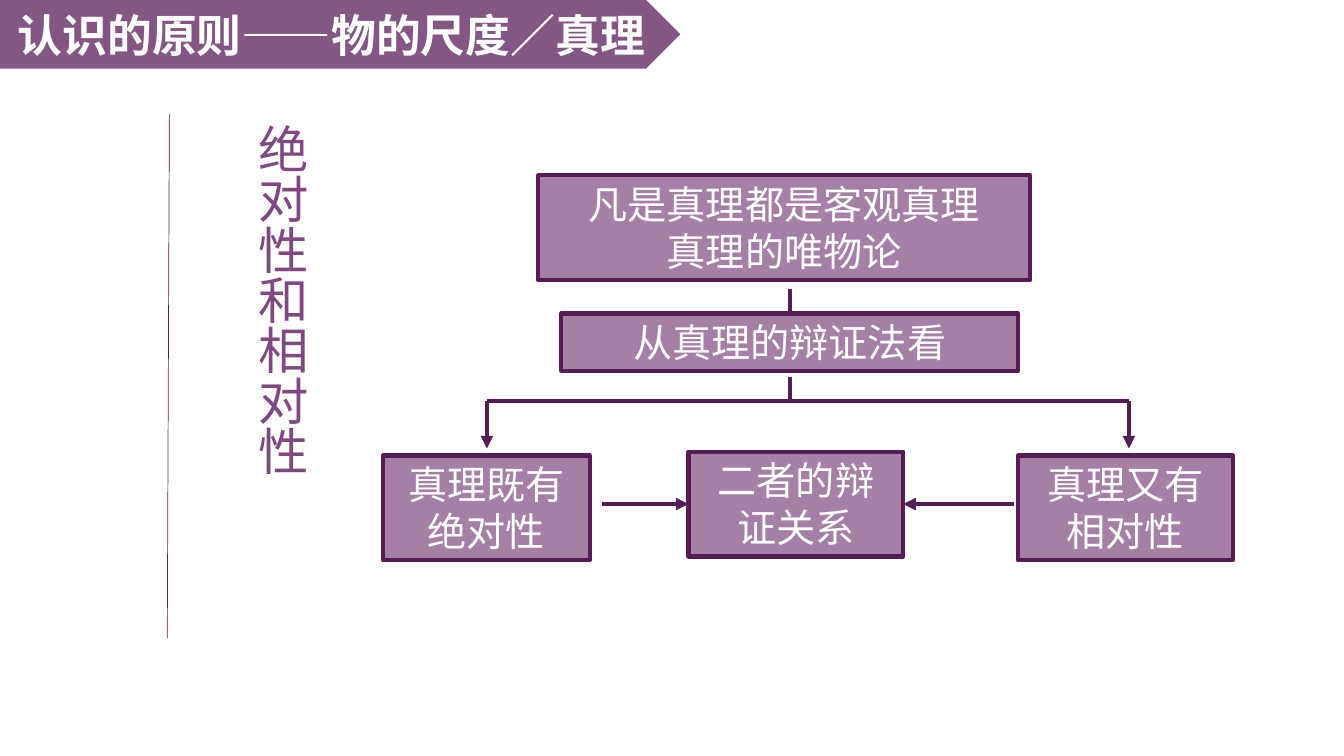
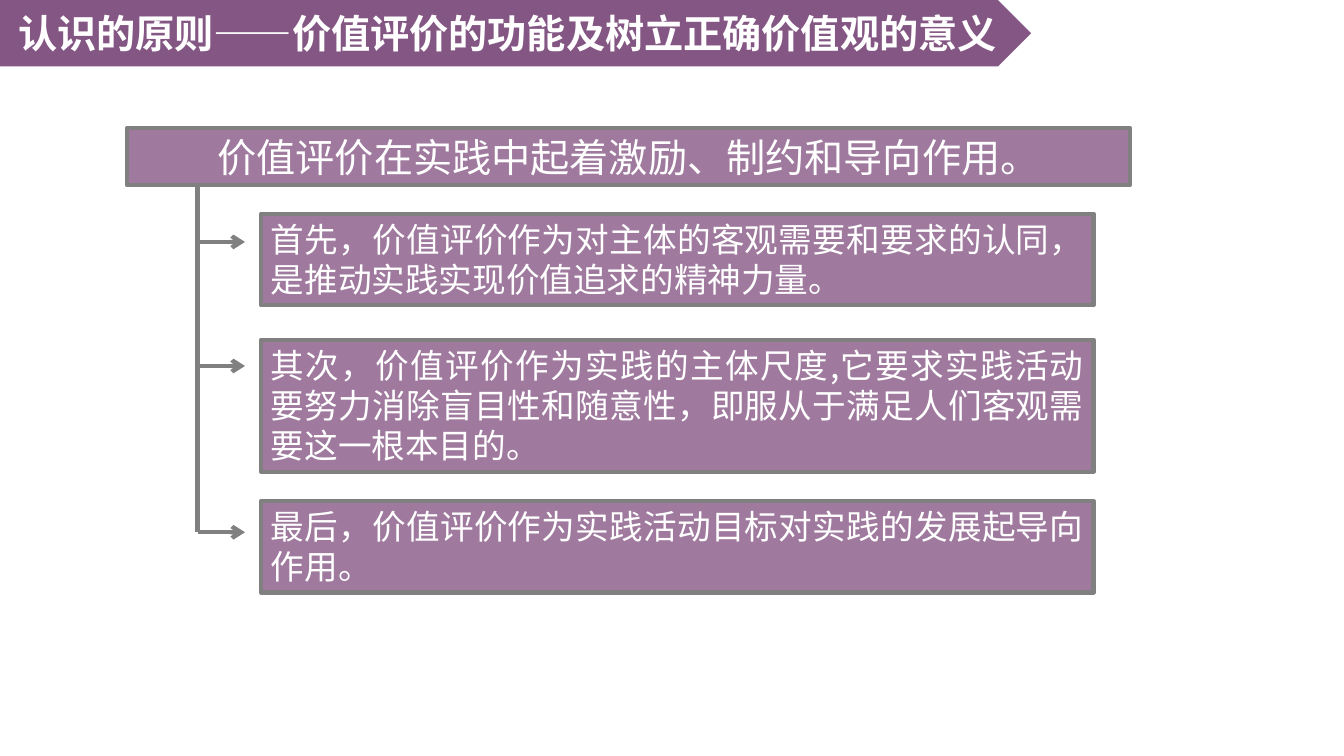
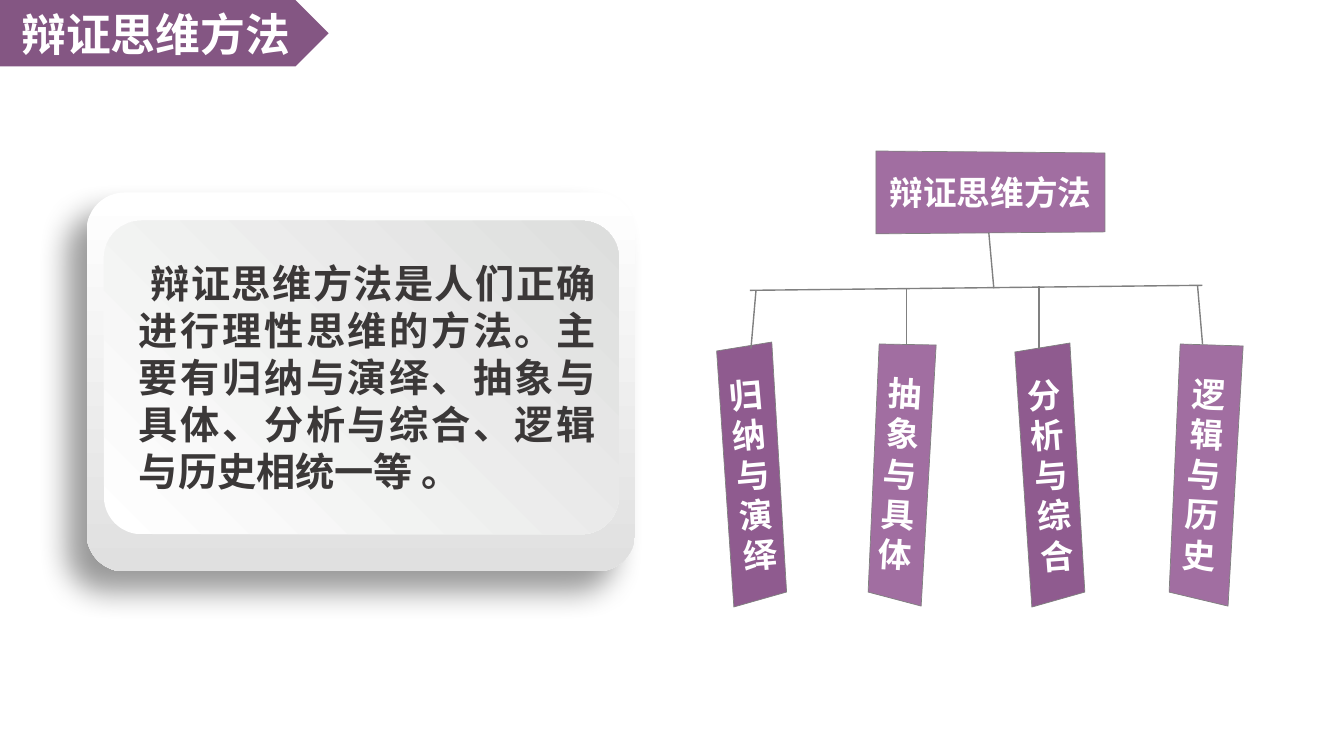
import math
from dataclasses import dataclass

import pptx
import pptx.dml.color
import pptx.enum.shapes
import pptx.enum.text
import pptx.oxml
import pptx.oxml.ns
import pptx.util
from lxml import etree

Pt = pptx.util.Pt
SHAPE = pptx.enum.shapes.MSO_SHAPE
ALIGN = pptx.enum.text.PP_ALIGN
ANCHOR = pptx.enum.text.MSO_ANCHOR
qn = pptx.oxml.ns.qn

FONT = "Noto Sans CJK SC"
WHITE = "FFFFFF"
PLUM = "5A1B58"
MAUVE = "7F4980"
DEEP = "551C55"
GREY = "808080"
TILE_LIGHT = "A16EA1"
TILE_DARK = "8F5B8F"
BODY = "3B3838"


@dataclass
class Box:
    """A rectangle in points, with its text."""
    left: float
    top: float
    width: float
    height: float
    text: str = ""


@dataclass
class BoxStyle:
    fill: str
    opacity: int
    line: str
    size: float
    align: pptx.enum.text.PP_ALIGN = ALIGN.CENTER


@dataclass
class Segment:
    x1: float
    y1: float
    x2: float
    y2: float
    arrow: str = ""


@dataclass
class Tile:
    """A slanted hanging tile: corners in points, tilt in degrees."""
    text: str
    corners: list[tuple[float, float]]
    fill: str
    tilt: float = 0


# ---- shared helpers ----
def rgb(hex_colour: str) -> pptx.dml.color.RGBColor:
    return pptx.dml.color.RGBColor.from_string(hex_colour)


def paint(shape, fill: str, opacity: int = 100, line: str = "", weight: float = 0) -> None:
    shape.shadow.inherit = False
    shape.fill.solid()
    shape.fill.fore_color.rgb = rgb(fill)
    if opacity < 100:
        colour = shape._element.spPr.find(qn("a:solidFill")).find(qn("a:srgbClr"))
        etree.SubElement(colour, qn("a:alpha")).set("val", str(opacity * 1000))
    if line:
        shape.line.color.rgb = rgb(line)
        shape.line.width = Pt(weight)
    else:
        shape.line.fill.background()


def write(frame, text: str, *, size: float, colour: str = WHITE, bold: bool = False,
          align=ALIGN.CENTER, anchor=ANCHOR.TOP, margin: float | None = None) -> None:
    frame.auto_size = pptx.enum.text.MSO_AUTO_SIZE.NONE
    frame.word_wrap = True
    frame.vertical_anchor = anchor
    if margin is not None:
        frame.margin_left = frame.margin_right = Pt(margin)
        frame.margin_top = frame.margin_bottom = Pt(margin)
    for index, words in enumerate(text.split("\n")):
        paragraph = frame.add_paragraph() if index else frame.paragraphs[0]
        paragraph.alignment = align
        run = paragraph.add_run()
        run.text = words
        run.font.size = Pt(size)
        run.font.bold = bold
        run.font.color.rgb = rgb(colour)
        run.font.name = FONT
        etree.SubElement(run._r.rPr, qn("a:ea")).set("typeface", FONT)


def place(shapes, kind, box: Box):
    return shapes.add_shape(kind, Pt(box.left), Pt(box.top), Pt(box.width), Pt(box.height))


def add_box(slide, box: Box, style: BoxStyle):
    panel = place(slide.shapes, SHAPE.RECTANGLE, box)
    paint(panel, style.fill, style.opacity, style.line, 3)
    write(panel.text_frame, box.text, size=style.size, align=style.align)
    return panel


def add_label(slide, box: Box, **text_format):
    label = slide.shapes.add_textbox(Pt(box.left), Pt(box.top), Pt(box.width), Pt(box.height))
    write(label.text_frame, box.text, **text_format)
    return label


def add_line(slide, segment: Segment, colour: str, weight: float):
    line = slide.shapes.add_connector(
        pptx.enum.shapes.MSO_CONNECTOR.STRAIGHT,
        Pt(segment.x1), Pt(segment.y1), Pt(segment.x2), Pt(segment.y2))
    line.line.color.rgb = rgb(colour)
    line.line.width = Pt(weight)
    properties = line._element.spPr
    if segment.arrow:
        outline = properties.find(qn("a:ln"))
        etree.SubElement(outline, qn("a:tailEnd")).set("type", segment.arrow)
    etree.SubElement(properties, qn("a:effectLst"))
    return line


def add_titled_slide(deck, text: str, width: float, height: float, size: float):
    """Title-only slide with the pointed band behind its title."""
    slide = deck.slides.add_slide(deck.slide_layouts[5])
    band = place(slide.shapes, SHAPE.PENTAGON, Box(0, 0, width, height))
    paint(band, PLUM, 74)
    title = slide.shapes.title
    title._element.addprevious(band._element)
    title.left, title.top = Pt(0), Pt(0)
    title.width, title.height = Pt(width - height / 4), Pt(height)
    write(title.text_frame, text, size=size, bold=True, anchor=ANCHOR.MIDDLE)
    return slide


# ---- slide 1: absolute and relative truth ----
def build_truth(deck) -> None:
    slide = add_titled_slide(deck, "认识的原则——物的尺度／真理", 486, 49, 32)
    style = BoxStyle(MAUVE, 70, DEEP, 28)
    row_height = 74.9
    add_box(slide, Box(384.5, 125.3, 351.4, row_height, "凡是真理都是客观真理\n真理的唯物论"), style)
    add_box(slide, Box(273.6, 325.4, 147.6, row_height, "真理既有绝对性"), style)
    add_box(slide, Box(727.2, 325.4, 153.4, row_height, "真理又有相对性"), style)
    dialectics = add_box(slide, Box(401, 223.9, 326.2, 41, "从真理的辩证法看"), style)
    relation = add_box(slide, Box(491.8, 322.6, 153.4, row_height, "二者的辩证关系"), style)

    # Branching lines
    centre, bar, absolute, relative = 564.1, 286.6, 347.8, 806.4
    stem = add_line(slide, Segment(centre, 206.6, centre, 223.9), DEEP, 3)
    stem.end_connect(dialectics, 0)
    add_line(slide, Segment(centre, 269.3, centre, bar), DEEP, 3)
    add_line(slide, Segment(absolute, bar, relative, bar), DEEP, 3)
    for x in (absolute, relative):
        add_line(slide, Segment(x, bar, x, 320.4, "triangle"), DEEP, 3)

    # Arrows into the relation box
    middle = 322.6 + row_height / 2
    for start, end, side in ((429.8, 491.8, 1), (724.3, 645.2, 3)):
        arrow = add_line(slide, Segment(start, middle, end, middle, "triangle"), DEEP, 3)
        arrow.end_connect(relation, side)

    # Vertical heading with its rule
    add_line(slide, Segment(121, 81.4, 119.5, 455.8), PLUM, 0.5)
    heading = add_label(slide, Box(168.5, 81.4, 58.3, 360, "绝对性和相对性"),
                        size=36, colour=MAUVE, align=ALIGN.LEFT)
    heading.text_frame._txBody.bodyPr.set("vert", "eaVert")


# ---- slide 2: functions of value judgement ----
def build_value(deck) -> None:
    slide = add_titled_slide(deck, "认识的原则——价值评价的功能及树立正确价值观的意义", 736.6, 47.5, 28)
    add_box(slide, Box(90.7, 91.4, 716.4, 41, "价值评价在实践中起着激励、制约和导向作用。"),
            BoxStyle(PLUM, 58, GREY, 28))

    point_style = BoxStyle(PLUM, 58, GREY, 24, ALIGN.JUSTIFY)
    points = (
        (152.6, 65.5, 172.8, "首先，价值评价作为对主体的客观需要和要求的认同，是推动实践实现价值追求的精神力量。"),
        (242.6, 94.3, 261.4, "其次，价值评价作为实践的主体尺度,它要求实践活动要努力消除盲目性和随意性，"
                             "即服从于满足人们客观需要这一根本目的。"),
        (357.8, 65.5, 380.2, "最后，价值评价作为实践活动目标对实践的发展起导向作用。"),
    )
    spine = 141.1
    add_line(slide, Segment(spine, 133.2, spine, points[-1][2]), GREY, 3)
    for top, height, arrow_y, text in points:
        add_box(slide, Box(186.5, top, 594.7, height, text), point_style)
        add_line(slide, Segment(spine, arrow_y, 175, arrow_y, "arrow"), GREY, 3)


# ---- slide 3: dialectical thinking ----
def add_tile(slide, tile: Tile) -> None:
    """Draw the outline turned back by the tilt, then rotate it with its text."""
    count = len(tile.corners)
    centre_x = sum(x for x, _ in tile.corners) / count
    centre_y = sum(y for _, y in tile.corners) / count
    cos, sin = math.cos(math.radians(tile.tilt)), math.sin(math.radians(tile.tilt))
    upright = [(Pt(centre_x + (x - centre_x) * cos + (y - centre_y) * sin),
                Pt(centre_y - (x - centre_x) * sin + (y - centre_y) * cos))
               for x, y in tile.corners]
    builder = slide.shapes.build_freeform(*upright[0])
    builder.add_line_segments(upright[1:], close=True)
    panel = builder.convert_to_shape()
    panel.rotation = tile.tilt
    paint(panel, tile.fill, line=GREY, weight=0.5)
    write(panel.text_frame, tile.text, size=24, bold=True, anchor=ANCHOR.MIDDLE, margin=0)


def add_card(slide, box: Box, corner: float, end: str, angle: float):
    card = place(slide.shapes, SHAPE.ROUNDED_RECTANGLE, box)
    card.adjustments[0] = corner
    paint(card, WHITE)
    card.fill.gradient()
    card.fill.gradient_angle = angle
    for stop, colour in zip(card.fill.gradient_stops, (WHITE, end)):
        stop.color.rgb = rgb(colour)
    return card


def add_drop_shadow(shape, opacity: int, blur: float, distance: float, angle: int) -> None:
    effects = shape._element.spPr.find(qn("a:effectLst"))
    shadow = etree.SubElement(effects, qn("a:outerShdw"), blurRad=str(Pt(blur)),
                              dist=str(Pt(distance)), dir=str(angle * 60000),
                              algn="ctr", rotWithShape="0")
    colour = etree.SubElement(shadow, qn("a:srgbClr"), val="000000")
    etree.SubElement(colour, qn("a:alpha"), val=str(opacity * 1000))


def build_thinking(deck) -> None:
    slide = add_titled_slide(deck, "辩证思维方法", 234.7, 47.5, 32)

    # Hanging tiles
    tiles = (
        Tile("辩证思维方法", [(625.7, 107.9), (789.3, 109.3), (789.3, 165.7), (625.7, 167.1)], TILE_LIGHT),
        Tile("归\n纳\n与\n演\n绎", [(512, 250.7), (551.4, 244.3), (562, 422.9), (524.3, 433.6)], TILE_DARK, -5),
        Tile("抽\n象\n与\n具\n体", [(627.9, 245.7), (668.6, 246.4), (657.9, 432.9), (620, 422.9)], TILE_LIGHT, 3.5),
        Tile("分\n析\n与\n综\n合", [(725, 251.4), (764.3, 245), (775, 422.9), (737.1, 433.6)], TILE_DARK, -4.5),
        Tile("逻\n辑\n与\n历\n史", [(842.9, 245.7), (887.9, 247.1), (877.1, 432.9), (835, 422.9)], TILE_LIGHT, 3.5),
    )
    for tile in tiles:
        add_tile(slide, tile)

    # Strings: crossbar, stem, then one per tile
    strings = (
        Segment(535.7, 207.4, 858.9, 203.8),
        Segment(706.3, 166, 709.9, 205.9),
        Segment(540, 207.4, 536.4, 249),
        Segment(647.3, 205.9, 647.3, 246),
        Segment(742.3, 204.5, 742.3, 249),
        Segment(855.4, 203.8, 859, 246),
    )
    for string in strings:
        add_line(slide, string, GREY, 1)

    # Definition card
    outer = add_card(slide, Box(61.9, 137.5, 391.7, 270.7), 0.1, "E0E0E0", 270)
    add_drop_shadow(outer, 40, 22, 20, 135)
    add_card(slide, Box(74.2, 157.7, 367.9, 223.9), 0.12, "DDDEDD", 45)
    definition = (" 辩证思维方法是人们正确进行理性思维的方法。主要有归纳与演绎、"
                  "抽象与具体、分析与综合、逻辑与历史相统一等 。")
    add_label(slide, Box(92.2, 181.4, 340.6, 177.1, definition),
              size=28, colour=BODY, bold=True, align=ALIGN.JUSTIFY)


def main() -> None:
    deck = pptx.Presentation()
    deck.slide_width, deck.slide_height = Pt(960), Pt(540)
    build_truth(deck)
    build_value(deck)
    build_thinking(deck)
    deck.save("out.pptx")


if __name__ == "__main__":
    main()
